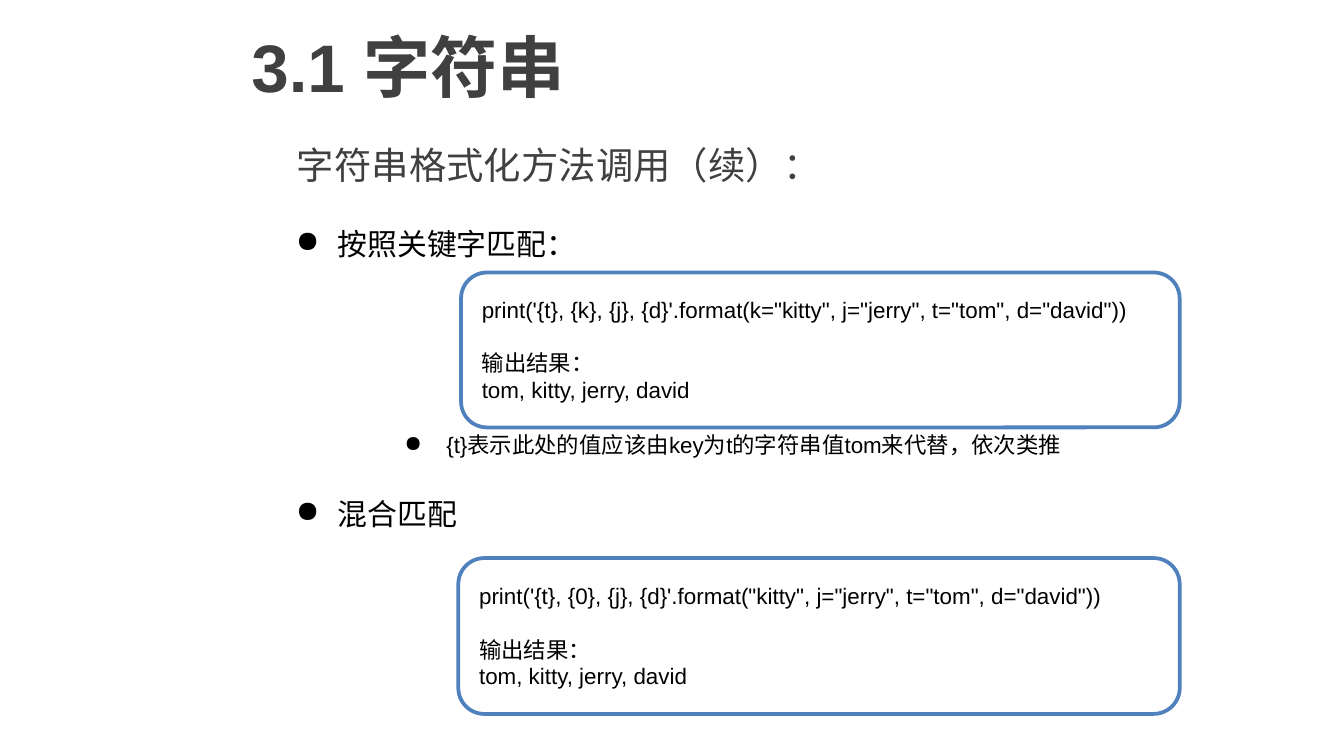
import pptx
import pptx.util
import pptx.dml.color
import pptx.enum.shapes
import pptx.enum.text
from lxml import etree

Pt = pptx.util.Pt
RGB = pptx.dml.color.RGBColor.from_string
ALIGN = pptx.enum.text.PP_ALIGN
ANCHOR = pptx.enum.text.MSO_ANCHOR

THEME = {
    "font": "Arial", "heading": "404040", "text": "000000",
    "border": "4F81BD", "panel": "FFFFFF",
    "title": 36, "subtitle": 20, "bullet": 16, "small": 12,
}

TITLE = "3.1 字符串"
SUBTITLE = "字符串格式化方法调用（续）："

# text, size, left indent, space before
BULLETS = [
    ("按照关键字匹配：", "bullet", 22.5, 0),
    ("{t}表示此处的值应该由key为t的字符串值tom来代替，依次类推", "small", 80.6, 91),
    ("混合匹配", "bullet", 22.5, 20),
]
HANGING = 22.5

RESULT = ["输出结果：", "tom, kitty, jerry, david"]
# code line, left, top, width, height
EXAMPLES = [
    ("print('{t}, {k}, {j}, {d}'.format(k=\"kitty\", j=\"jerry\", t=\"tom\", d=\"david\"))",
     247, 146, 385, 83),
    ("print('{t}, {0}, {j}, {d}'.format(\"kitty\", j=\"jerry\", t=\"tom\", d=\"david\"))",
     245.5, 299, 386.5, 83.5),
]


def write(tf, text, size, color="text", bold=False, align=ALIGN.LEFT, before=0):
    """Fill the first empty paragraph, or append a new one."""
    p = tf.paragraphs[0] if not tf.paragraphs[0].runs else tf.add_paragraph()
    p.alignment = align
    p.space_before = Pt(before)
    r = p.add_run()
    r.text = text
    r.font.name = THEME["font"]
    r.font.size = Pt(THEME[size])
    r.font.bold = bold
    r.font.color.rgb = RGB(THEME[color])
    return p


def add_bullet(p, indent):
    pPr = p._p.get_or_add_pPr()
    pPr.set("marL", str(Pt(indent)))
    pPr.set("indent", str(-Pt(HANGING)))
    bullet = etree.SubElement(pPr, pptx.oxml.ns.qn("a:buChar"))
    bullet.set("char", "●")


def add_text_box(s, left, top, width, height):
    tf = s.shapes.add_textbox(Pt(left), Pt(top), Pt(width), Pt(height)).text_frame
    tf.word_wrap = True
    return tf


def add_example(s, code, *box):
    sp = s.shapes.add_shape(
        pptx.enum.shapes.MSO_SHAPE.ROUNDED_RECTANGLE, *map(Pt, box))
    sp.shadow.inherit = False
    sp.fill.solid()
    sp.fill.fore_color.rgb = RGB(THEME["panel"])
    sp.line.color.rgb = RGB(THEME["border"])
    sp.line.width = Pt(2)
    tf = sp.text_frame
    tf.word_wrap = True
    tf.vertical_anchor = ANCHOR.MIDDLE
    for i, line in enumerate([code] + RESULT):
        write(tf, line, "small", align=ALIGN.JUSTIFY, before=14 if i == 1 else 0)


def main():
    prs = pptx.Presentation()
    prs.slide_width, prs.slide_height = Pt(720), Pt(405)
    s = prs.slides.add_slide(prs.slide_layouts[5])

    title = s.shapes.title
    title.left, title.top, title.width, title.height = map(Pt, (127.5, 0, 592.5, 70))
    title.text_frame.vertical_anchor = ANCHOR.MIDDLE
    write(title.text_frame, TITLE, "title", color="heading", bold=True)

    tf = add_text_box(s, 152, 70, 544, 36)
    tf.vertical_anchor = ANCHOR.MIDDLE
    write(tf, SUBTITLE, "subtitle", color="heading")

    tf = add_text_box(s, 127.5, 117.5, 544, 236)
    tf.margin_left = Pt(31)
    for text, size, indent, before in BULLETS:
        add_bullet(write(tf, text, size, before=before), indent)

    for example in EXAMPLES:
        add_example(s, *example)

    prs.save("out.pptx")


if __name__ == "__main__":
    main()
